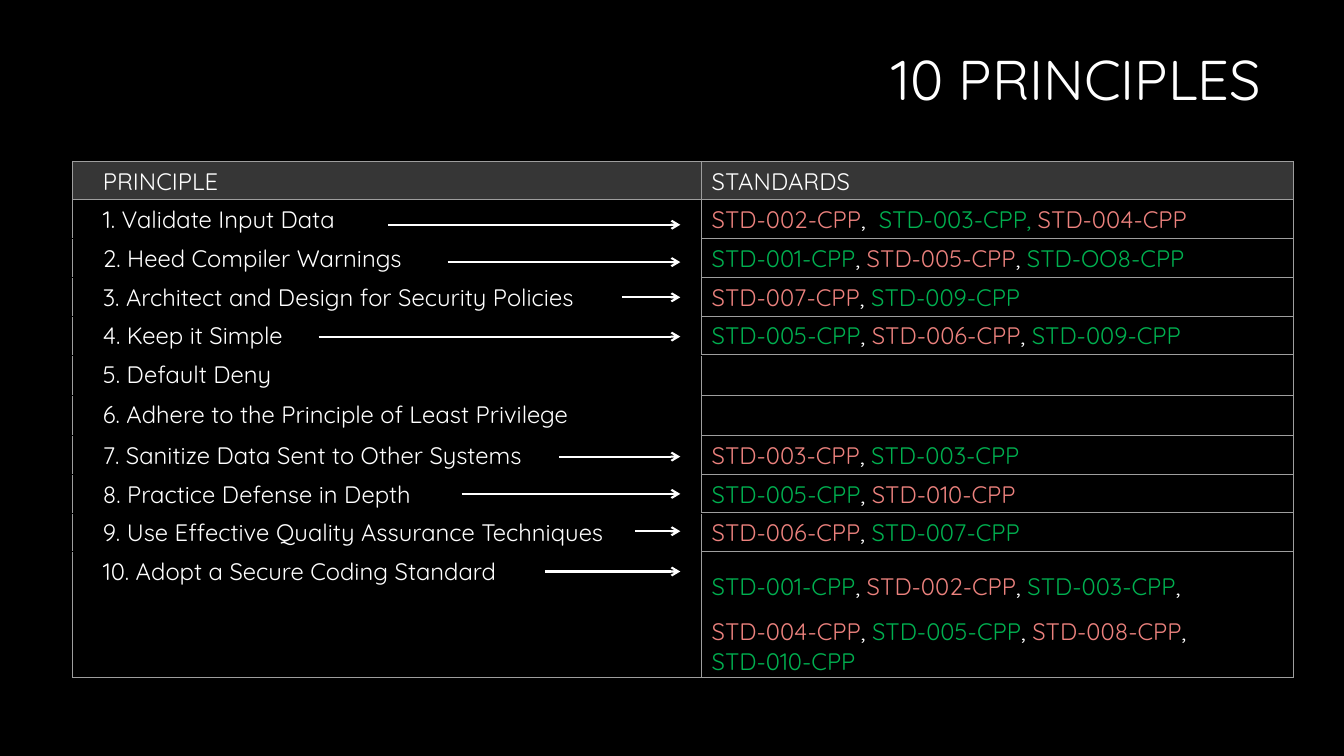
from dataclasses import dataclass
from itertools import cycle

from lxml.etree import SubElement
from pptx import Presentation
from pptx.dml.color import RGBColor
from pptx.enum.shapes import MSO_CONNECTOR as Connector
from pptx.enum.text import MSO_ANCHOR as Anchor, PP_ALIGN as Align
from pptx.oxml import parse_xml
from pptx.oxml.ns import nsdecls, qn
from pptx.slide import Slide
from pptx.table import _Cell as Cell
from pptx.text.text import _Paragraph as Paragraph
from pptx.util import Emu, Inches, Pt

FONT = "Quicksand"
COLOURS = {"black": "000000", "white": "FFFFFF", "header": "363636",
           "grid": "9E9E9E", "red": "EC827E", "green": "00B050"}
PLAIN_TABLE_STYLE = "{2D5ABB26-0587-4C30-8999-92F81FD0307C}"
WIDTH, HEIGHT = Inches(13.333), Inches(7.5)

# Table layout, in percent of the slide's width and height
TABLE_LEFT, TABLE_TOP = 5.4, 21.33
COLUMN_WIDTHS = [46.8, 44.03]
ROW_HEIGHT, LAST_ROW_HEIGHT = 5.11, 16.67
PRINCIPLE_INDENT = 1.5
ARROW_END = 50.62


@dataclass
class Arrow:
    start: float
    level: float


@dataclass
class Principle:
    text: str
    first_colour: str = "red"
    standards: tuple[str, ...] = ()  # one entry a line, runs parted by |
    arrow: Arrow | None = None


PRINCIPLES = [
    Principle("1. Validate Input Data", "red",
              ("STD-002-CPP|,  |STD-003-CPP, |STD-004-CPP",), Arrow(28.87, 29.73)),
    Principle("2. Heed Compiler Warnings", "green",
              ("STD-001-CPP|, |STD-005-CPP|, |STD-OO8-CPP",), Arrow(33.3, 34.67)),
    Principle("3. Architect and Design for Security Policies", "red",
              ("STD-007-CPP|, |STD-009-CPP",), Arrow(46.27, 39.33)),
    Principle("4. Keep it Simple", "green",
              ("STD-005-CPP|, |STD-006-CPP|, |STD-009-CPP",), Arrow(23.7, 44.53)),
    Principle("5. Default Deny"),
    Principle("6. Adhere to the Principle of Least Privilege"),
    Principle("7. Sanitize Data Sent to Other Systems", "red",
              ("STD-003-CPP|, |STD-003-CPP",), Arrow(41.62, 60.4)),
    Principle("8. Practice Defense in Depth", "green",
              ("STD-005-CPP|, |STD-010-CPP",), Arrow(34.35, 65.33)),
    Principle("9. Use Effective Quality Assurance Techniques", "red",
              ("STD-006-CPP|, |STD-007-CPP",), Arrow(47.25, 70.27)),
    Principle("10. Adopt a Secure Coding Standard", "green",
              ("STD-001-CPP|, |STD-002-CPP|, |STD-003-CPP|,",
               "STD-004-CPP|, |STD-005-CPP|, |STD-008-CPP|,",
               "STD-010-CPP"), Arrow(40.57, 75.6)),
]


def across(percent: float) -> Emu:
    return Emu(round(WIDTH * percent / 100))


def down(percent: float) -> Emu:
    return Emu(round(HEIGHT * percent / 100))


def rgb(name: str) -> RGBColor:
    return RGBColor.from_string(COLOURS[name])


def apply_format(target: object, values: dict) -> None:
    for name, value in values.items():
        setattr(target, name, value)


def add_run(paragraph: Paragraph, text: str, colour: str = "white", size: int = 17) -> None:
    run = paragraph.add_run()
    run.text = text
    apply_format(run.font, {"name": FONT, "size": Pt(size)})
    run.font.color.rgb = rgb(colour)


def add_title(slide: Slide, text: str) -> None:
    box = slide.shapes.add_textbox(across(23.93), down(4.4), across(70.65), down(12.93))
    apply_format(box.text_frame, {"word_wrap": True, "vertical_anchor": Anchor.MIDDLE})
    paragraph = box.text_frame.paragraphs[0]
    apply_format(paragraph, {"alignment": Align.RIGHT, "line_spacing": 0.9})
    add_run(paragraph, text, size=40)


def set_borders(cell: Cell, faint_sides: str) -> None:
    properties = cell._tc.get_or_add_tcPr()
    for position, side in enumerate("LRTB"):
        colour, width = ("black", 0.25) if side in faint_sides else ("grid", 0.75)
        properties.insert(position, parse_xml(
            f'<a:ln{side} {nsdecls("a")} w="{Pt(width)}"><a:solidFill>'
            f'<a:srgbClr val="{COLOURS[colour]}"/></a:solidFill></a:ln{side}>'))


def fill_principle(cell: Cell, text: str) -> None:
    paragraph = cell.text_frame.paragraphs[0]
    paragraph.level = 1
    apply_properties = paragraph._p.get_or_add_pPr()
    apply_properties.set("marL", str(across(PRINCIPLE_INDENT)))
    apply_properties.set("indent", "0")
    add_run(paragraph, text)


def fill_standards(cell: Cell, principle: Principle) -> None:
    other_colour = "green" if principle.first_colour == "red" else "red"
    colours = cycle([principle.first_colour, other_colour])
    for number, line in enumerate(principle.standards):
        frame = cell.text_frame
        paragraph = frame.add_paragraph() if number else frame.paragraphs[0]
        if number < len(principle.standards) - 1:
            paragraph.line_spacing = 1.5
        for part in line.split("|"):
            add_run(paragraph, part, next(colours) if part.startswith("STD") else "white")


def add_principles_table(slide: Slide) -> None:
    heights = [ROW_HEIGHT] * len(PRINCIPLES) + [LAST_ROW_HEIGHT]
    table = slide.shapes.add_table(
        len(heights), len(COLUMN_WIDTHS), across(TABLE_LEFT), down(TABLE_TOP),
        across(sum(COLUMN_WIDTHS)), down(sum(heights))).table
    apply_format(table, {"first_row": False, "horz_banding": False})
    table._tbl.tblPr.find(qn("a:tableStyleId")).text = PLAIN_TABLE_STYLE
    for column, width in zip(table.columns, COLUMN_WIDTHS):
        column.width = across(width)
    for row, height in zip(table.rows, heights):
        row.height = down(height)

    # Header row
    fill_principle(table.cell(0, 0), "PRINCIPLE")
    add_run(table.cell(0, 1).text_frame.paragraphs[0], "STANDARDS")
    for cell in table.rows[0].cells:
        cell.vertical_anchor = Anchor.MIDDLE
        cell.fill.solid()
        cell.fill.fore_color.rgb = rgb("header")
        set_borders(cell, "")

    # Principles and their standards
    for number, principle in enumerate(PRINCIPLES, start=1):
        left, right = table.rows[number].cells
        fill_principle(left, principle.text)
        fill_standards(right, principle)
        for cell in (left, right):
            cell.fill.background()
        above = "T" if number > 1 else ""
        below = "B" if number < len(PRINCIPLES) else ""
        set_borders(left, above + below)
        set_borders(right, "")


def add_arrow(slide: Slide, arrow: Arrow) -> None:
    level = down(arrow.level)
    connector = slide.shapes.add_connector(
        Connector.STRAIGHT, across(arrow.start), level, across(ARROW_END), level)
    connector.line.color.rgb = rgb("white")
    connector.line.width = Pt(1.5)
    SubElement(connector.line._get_or_add_ln(), qn("a:tailEnd"), type="arrow")
    SubElement(connector._element.spPr, qn("a:effectLst"))


def main() -> None:
    presentation = Presentation()
    apply_format(presentation, {"slide_width": WIDTH, "slide_height": HEIGHT})
    slide = presentation.slides.add_slide(presentation.slide_layouts[6])
    slide.background.fill.solid()
    slide.background.fill.fore_color.rgb = rgb("black")

    add_title(slide, "10 PRINCIPLES")
    add_principles_table(slide)
    for principle in PRINCIPLES:
        if principle.arrow:
            add_arrow(slide, principle.arrow)
    presentation.save("out.pptx")


if __name__ == "__main__":
    main()
